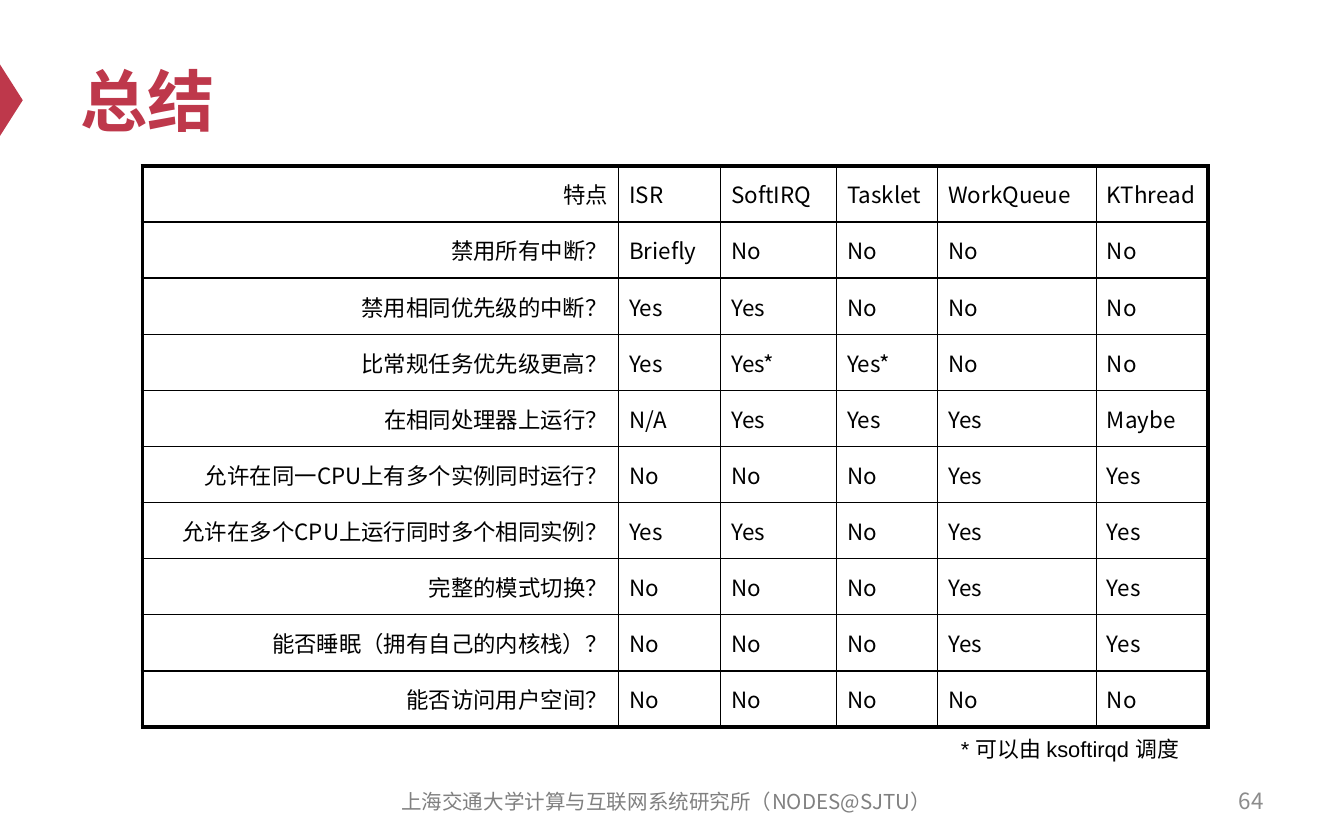
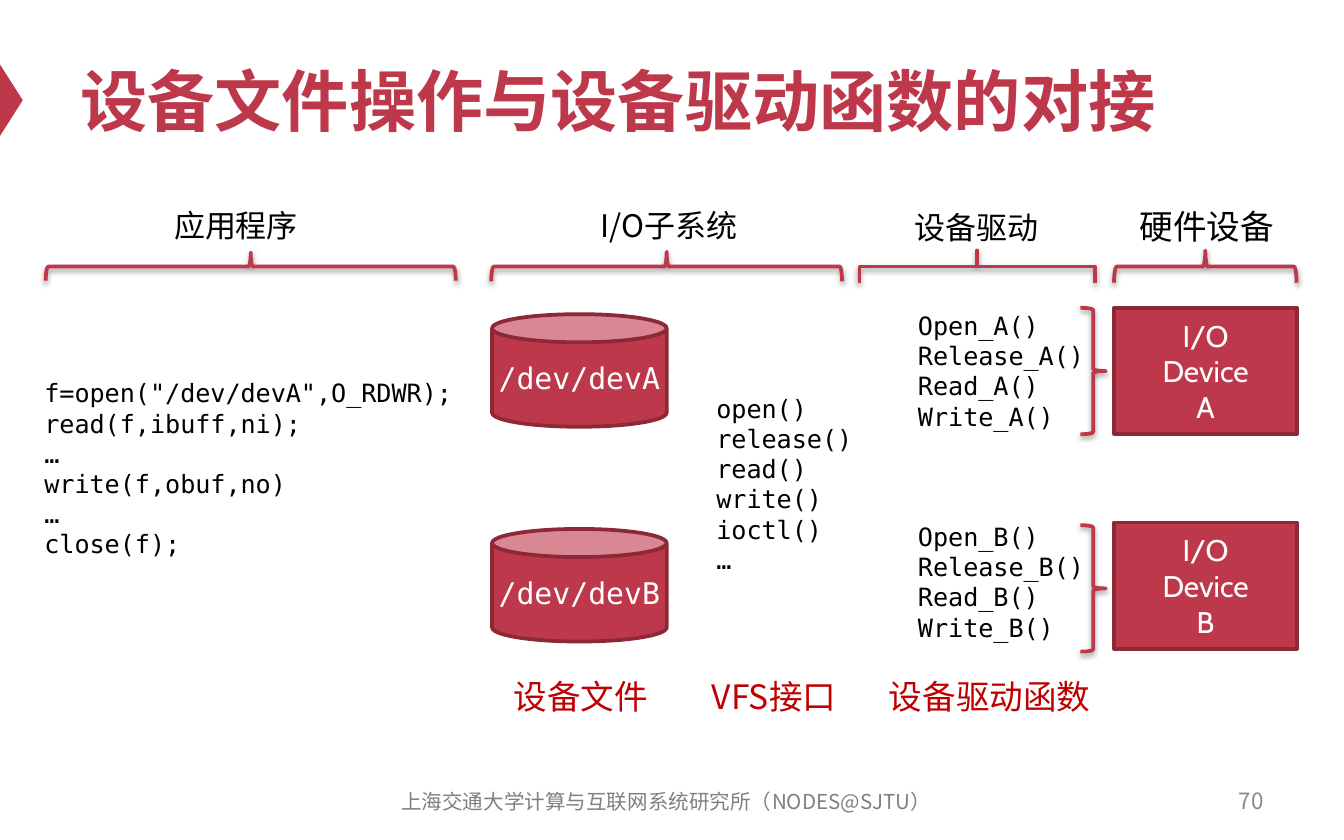
from dataclasses import dataclass

from lxml import etree
from pptx import Presentation
from pptx.dml.color import RGBColor
from pptx.enum.shapes import MSO_SHAPE
from pptx.enum.text import MSO_ANCHOR, PP_ALIGN
from pptx.oxml.ns import qn
from pptx.shapes.autoshape import Shape
from pptx.slide import Slide
from pptx.table import _Cell
from pptx.text.text import TextFrame, _Paragraph
from pptx.util import Cm, Pt

CRIMSON = RGBColor(0xBE, 0x38, 0x4B)
DARK_CRIMSON = RGBColor(0x8D, 0x29, 0x37)
RED = RGBColor(0xC0, 0x00, 0x00)
BLACK = RGBColor(0x00, 0x00, 0x00)
WHITE = RGBColor(0xFF, 0xFF, 0xFF)
GRAY = RGBColor(0x80, 0x80, 0x80)
LIGHT_GRAY = RGBColor(0x8C, 0x8C, 0x8C)

SANS = "Arial"
CJK = "Noto Sans CJK SC"
MONO = "DejaVu Sans Mono"
DEVICE_FACE = "Cabin"

LEFT, CENTER, RIGHT = PP_ALIGN.LEFT, PP_ALIGN.CENTER, PP_ALIGN.RIGHT
TOP, MIDDLE = MSO_ANCHOR.TOP, MSO_ANCHOR.MIDDLE
RECTANGLE, CAN = MSO_SHAPE.RECTANGLE, MSO_SHAPE.CAN
TRIANGLE, BRACE = MSO_SHAPE.ISOSCELES_TRIANGLE, MSO_SHAPE.RIGHT_BRACE

FOOTER = "上海交通大学计算与互联网系统研究所（NODES@SJTU）"


@dataclass(frozen=True)
class Box:
    left: float
    top: float
    width: float
    height: float

    def lengths(self) -> tuple[Cm, Cm, Cm, Cm]:
        return Cm(self.left), Cm(self.top), Cm(self.width), Cm(self.height)


@dataclass(frozen=True)
class Style:
    size: float
    face: str = CJK
    color: RGBColor = BLACK
    align: PP_ALIGN = LEFT
    bold: bool = False


@dataclass(frozen=True)
class Layer:
    label: str
    label_center: float
    label_top: float
    size: float
    brace_center: float
    span: float
    depth: float
    curve: float = 0.08333


@dataclass(frozen=True)
class Device:
    letter: str
    top: float
    functions_top: float
    brace_top: float


TITLE = Style(36, SANS, CRIMSON, bold=True)
PAGE_NUMBER = Style(12, color=LIGHT_GRAY, align=RIGHT)
FOOTER_STYLE = Style(11, color=GRAY, align=CENTER)
FEATURE = Style(12, align=RIGHT)
ANSWER = Style(12)
FOOTNOTE = Style(11.7, SANS)
CODE = Style(13.5, MONO)
FILE_NAME = Style(16, MONO, WHITE, CENTER)
DEVICE_NAME = Style(16, DEVICE_FACE, WHITE, CENTER)
CAPTION = Style(18, color=RED, align=CENTER)

COLUMN_WIDTHS = (9.0, 1.93, 2.19, 1.91, 3.0, 2.11)
ROW_HEIGHT = 1.06
FEATURES = (
    ("特点", "ISR", "SoftIRQ", "Tasklet", "WorkQueue", "KThread"),
    ("禁用所有中断？", "Briefly", "No", "No", "No", "No"),
    ("禁用相同优先级的中断？", "Yes", "Yes", "No", "No", "No"),
    ("比常规任务优先级更高？", "Yes", "Yes*", "Yes*", "No", "No"),
    ("在相同处理器上运行？", "N/A", "Yes", "Yes", "Yes", "Maybe"),
    ("允许在同一CPU上有多个实例同时运行？", "No", "No", "No", "Yes", "Yes"),
    ("允许在多个CPU上运行同时多个相同实例？", "Yes", "Yes", "No", "Yes", "Yes"),
    ("完整的模式切换？", "No", "No", "No", "Yes", "Yes"),
    ("能否睡眠（拥有自己的内核栈）？", "No", "No", "No", "Yes", "Yes"),
    ("能否访问用户空间？", "No", "No", "No", "No", "No"),
)

LAYERS = (
    Layer("应用程序", 4.46, 3.91, 16.6, 4.74, 7.75, 0.53),
    Layer("I/O子系统", 12.64, 3.91, 16.6, 12.6, 6.63, 0.56),
    Layer("设备驱动", 18.45, 3.94, 16.6, 18.47, 4.45, 0.61, 0),
    Layer("硬件设备", 22.81, 3.89, 18, 22.78, 3.45, 0.61),
)
LAYER_BRACE_MIDDLE = 5.04
DEVICES = (
    Device("A", 5.82, 5.74, 5.82),
    Device("B", 9.88, 9.73, 9.93),
)
APPLICATION_CODE = (
    'f=open("/dev/devA",O_RDWR);',
    "read(f,ibuff,ni);",
    "…",
    "write(f,obuf,no)",
    "…",
    "close(f);",
)
VFS_CALLS = ("open()", "release()", "read()", "write()", "ioctl()", "…")
CAPTIONS = (
    ("设备文件", 9.47, 3.02),
    ("VFS接口", 12.98, 3.3),
    ("设备驱动函数", 16.56, 4.29),
)


def style_paragraph(paragraph: _Paragraph, style: Style) -> None:
    paragraph.alignment = style.align
    font = paragraph.font
    font.size = Pt(style.size)
    font.bold = style.bold
    font.color.rgb = style.color
    font.name = style.face
    defaults = paragraph._p.pPr.find(qn("a:defRPr"))
    east_asian = etree.SubElement(defaults, qn("a:ea"))
    east_asian.set("typeface", MONO if style.face == MONO else CJK)


def write_lines(frame: TextFrame, lines: tuple[str, ...], style: Style,
                anchor: MSO_ANCHOR = TOP, wrap: bool = False, padded: bool = False) -> None:
    frame.word_wrap = wrap
    frame.vertical_anchor = anchor
    if not padded:
        frame.margin_left = frame.margin_right = 0
        frame.margin_top = frame.margin_bottom = 0
    for index, line in enumerate(lines):
        paragraph = frame.paragraphs[0] if index == 0 else frame.add_paragraph()
        paragraph.text = line
        style_paragraph(paragraph, style)


def add_text(slide: Slide, box: Box, lines: tuple[str, ...], style: Style,
             anchor: MSO_ANCHOR = TOP, wrap: bool = False, padded: bool = False) -> None:
    frame = slide.shapes.add_textbox(*box.lengths()).text_frame
    write_lines(frame, lines, style, anchor, wrap, padded)


def add_solid(slide: Slide, kind: MSO_SHAPE, box: Box) -> Shape:
    solid = slide.shapes.add_shape(kind, *box.lengths())
    solid.shadow.inherit = False
    solid.fill.solid()
    solid.fill.fore_color.rgb = CRIMSON
    solid.line.color.rgb = DARK_CRIMSON
    solid.line.width = Pt(2)
    return solid


def add_brace(slide: Slide, box: Box, rotation: float = 0, curve: float = 0.08333) -> None:
    brace = slide.shapes.add_shape(BRACE, *box.lengths())
    brace.rotation = rotation
    brace.adjustments[0] = curve
    brace.fill.background()
    brace.line.color.rgb = CRIMSON
    brace.line.width = Pt(2)
    brace.shadow.inherit = False
    effects = brace._element.spPr.find(qn("a:effectLst"))
    shadow = etree.SubElement(effects, qn("a:outerShdw"), blurRad=str(Pt(3.1)),
                              dist=str(Pt(1.6)), dir="5400000", rotWithShape="0")
    tint = etree.SubElement(shadow, qn("a:srgbClr"), val=str(BLACK))
    etree.SubElement(tint, qn("a:alpha"), val="38000")


def add_page(deck: Presentation, title: str, number: int) -> Slide:
    slide = deck.slides.add_slide(deck.slide_layouts[6])
    marker = add_solid(slide, TRIANGLE, Box(-0.46, 1.68, 1.35, 0.43))
    marker.rotation = 90
    marker.line.fill.background()
    add_text(slide, Box(1.27, 0.64, 22.86, 2.49), (title,), TITLE, MIDDLE, True, True)
    add_text(slide, Box(18.21, 14.71, 5.92, 0.84), (str(number),), PAGE_NUMBER,
             MIDDLE, True, True)
    add_text(slide, Box(7.09, 14.73, 11.0, 0.84), (FOOTER,), FOOTER_STYLE,
             MIDDLE, True, True)
    return slide


def draw_border(cell: _Cell, side: str, width: float) -> None:
    properties = cell._tc.get_or_add_tcPr()
    border = etree.SubElement(properties, qn(f"a:ln{side}"), w=str(Pt(width)))
    fill = etree.SubElement(border, qn("a:solidFill"))
    etree.SubElement(fill, qn("a:srgbClr"), val=str(BLACK))


def add_feature_table(slide: Slide) -> None:
    box = Box(2.69, 3.14, sum(COLUMN_WIDTHS), ROW_HEIGHT * len(FEATURES))
    table = slide.shapes.add_table(len(FEATURES), len(COLUMN_WIDTHS), *box.lengths()).table
    table.first_row = table.horz_banding = False
    for column, width in zip(table.columns, COLUMN_WIDTHS):
        column.width = Cm(width)
    last_row, last_column = len(FEATURES) - 1, len(COLUMN_WIDTHS) - 1
    for r, answers in enumerate(FEATURES):
        table.rows[r].height = Cm(ROW_HEIGHT)
        for c, answer in enumerate(answers):
            cell = table.cell(r, c)
            cell.text = answer
            cell.vertical_anchor = MIDDLE
            cell.margin_left = cell.margin_right = Cm(0.2)
            cell.margin_top = cell.margin_bottom = Cm(0.1)
            outer_sides = {"L": c == 0, "R": c == last_column,
                           "T": r == 0, "B": r == last_row}
            for side, is_outer in outer_sides.items():
                draw_border(cell, side, 2.25 if is_outer else 1)
            cell.fill.background()
            style_paragraph(cell.text_frame.paragraphs[0], FEATURE if c == 0 else ANSWER)


def add_layer(slide: Slide, layer: Layer) -> None:
    label_width = 4.29
    add_text(slide, Box(layer.label_center - label_width / 2, layer.label_top,
                        label_width, 0.64),
             (layer.label,), Style(layer.size, align=CENTER))
    add_brace(slide, Box(layer.brace_center - layer.depth / 2,
                         LAYER_BRACE_MIDDLE - layer.span / 2, layer.depth, layer.span),
              270, layer.curve)


def add_device(slide: Slide, device: Device) -> None:
    letter = device.letter
    hardware = add_solid(slide, RECTANGLE, Box(21.06, device.top, 3.45, 2.39))
    write_lines(hardware.text_frame, ("I/O", "Device", letter), DEVICE_NAME,
                MIDDLE, padded=True)
    functions = tuple(f"{verb}_{letter}()" for verb in ("Open", "Release", "Read", "Write"))
    add_text(slide, Box(17.35, device.functions_top, 3.3, 2.54), functions, CODE, MIDDLE)
    add_brace(slide, Box(20.42, device.brace_top, 0.48, 2.39))
    device_file = add_solid(slide, CAN, Box(9.3, device.top + 0.12, 3.3, 2.13))
    write_lines(device_file.text_frame, (f"/dev/dev{letter}",), FILE_NAME, MIDDLE)


def build_summary(deck: Presentation) -> None:
    slide = add_page(deck, "总结", 64)
    add_feature_table(slide)
    add_text(slide, Box(17.91, 13.79, 4.93, 0.76), ("* 可以由 ksoftirqd 调度",),
             FOOTNOTE, wrap=True, padded=True)


def build_driver_mapping(deck: Presentation) -> None:
    slide = add_page(deck, "设备文件操作与设备驱动函数的对接", 70)
    for device in DEVICES:
        add_device(slide, device)
    add_text(slide, Box(13.54, 7.39, 2.82, 3.51), VFS_CALLS, CODE, MIDDLE)
    add_text(slide, Box(0.84, 7.14, 7.82, 4.04), APPLICATION_CODE, CODE)
    for caption, left, width in CAPTIONS:
        add_text(slide, Box(left, 12.78, width, 0.76), (caption,), CAPTION, wrap=True)
    for layer in LAYERS:
        add_layer(slide, layer)


def main() -> None:
    deck = Presentation()
    deck.slide_width, deck.slide_height = Cm(25.4), Cm(15.88)
    build_summary(deck)
    build_driver_mapping(deck)
    deck.save("out.pptx")


if __name__ == "__main__":
    main()
